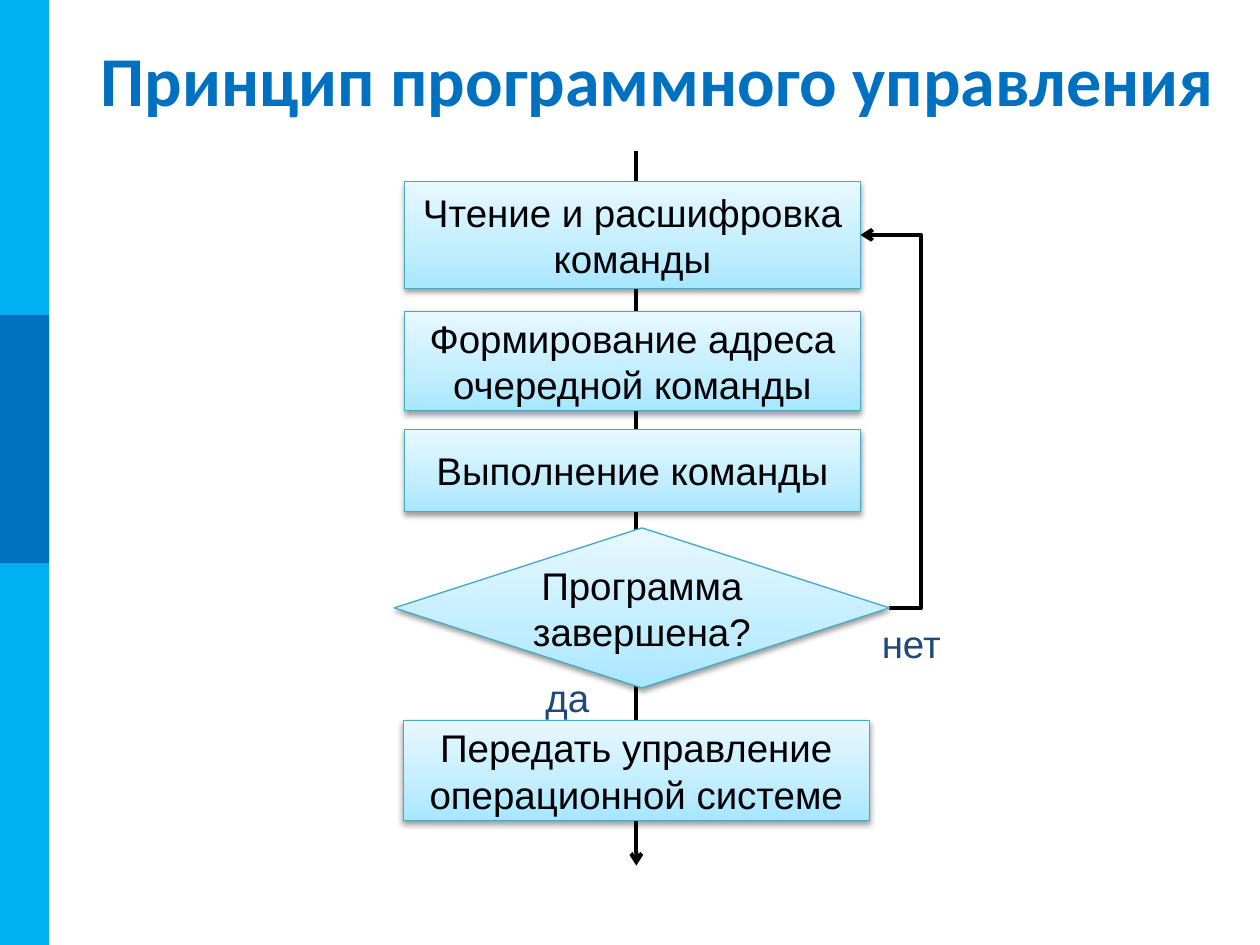
from lxml.etree import SubElement
from pptx import Presentation
from pptx.dml.color import RGBColor
from pptx.enum.shapes import MSO_CONNECTOR, MSO_SHAPE
from pptx.enum.text import MSO_ANCHOR, MSO_AUTO_SIZE, PP_ALIGN
from pptx.oxml import parse_xml
from pptx.oxml.ns import nsdecls, qn
from pptx.util import Pt

SCALE = 9144
SKY = RGBColor(0x00, 0xB0, 0xF0)
BLUE = RGBColor(0x00, 0x70, 0xC0)
NAVY = RGBColor(0x1F, 0x49, 0x7D)
TEAL = RGBColor(0x46, 0xAA, 0xC5)
BLACK = RGBColor(0x00, 0x00, 0x00)
STOPS = (
    (0, RGBColor(0xA7, 0xE6, 0xFF)),
    (35, RGBColor(0xC1, 0xED, 0xFF)),
    (100, RGBColor(0xE7, 0xF8, 0xFF)),
)
STEPS = (
    ("Чтение и расшифровка команды", 321, 144, 362, 85),
    ("Формирование адреса очередной команды", 321, 247, 362, 79),
    ("Выполнение команды", 321, 341, 362, 65),
    ("Передать управление операционной системе", 320, 572, 370, 79),
)


def px(*sizes):
    return [size * SCALE for size in sizes]


def set_font(para, name, size, color, bold=False):
    font = para.font
    font.name, font.size, font.bold = name, Pt(size), bold
    font.color.rgb = color


def add_bar(shapes, color, *area):
    bar = shapes.add_shape(MSO_SHAPE.RECTANGLE, *px(*area))
    bar.shadow.inherit = False
    bar.fill.solid()
    bar.fill.fore_color.rgb = color
    bar.line.fill.background()


def add_title(shapes, text, *area):
    frame = shapes.add_textbox(*px(*area)).text_frame
    frame.word_wrap = True
    frame.vertical_anchor = MSO_ANCHOR.MIDDLE
    frame.text = text
    set_font(frame.paragraphs[0], "Calibri", 40, BLUE, True)


def add_label(shapes, text, *area):
    frame = shapes.add_textbox(*px(*area)).text_frame
    frame.word_wrap = False
    frame.auto_size = MSO_AUTO_SIZE.SHAPE_TO_FIT_TEXT
    frame.text = text
    set_font(frame.paragraphs[0], "Arial", 22, NAVY)


def add_arrow(shapes, kind, *ends):
    arrow = shapes.add_connector(kind, *px(*ends))
    arrow.line.color.rgb = BLACK
    arrow.line.width = Pt(2.25)
    props = arrow.element.spPr
    SubElement(props.find(qn("a:ln")), qn("a:tailEnd"), type="arrow")
    SubElement(props, qn("a:effectLst"))
    return arrow


def bend(arrow, ratio):
    guides = arrow.element.spPr.find(qn("a:prstGeom")).find(qn("a:avLst"))
    SubElement(guides, qn("a:gd"), name="adj1", fmla=f"val {ratio}")


def add_step(shapes, kind, text, *area):
    step = shapes.add_shape(kind, *px(*area))
    step.line.color.rgb = TEAL
    step.line.width = Pt(0.75)
    step.shadow.inherit = False
    props = step.element.spPr
    stops = "".join(
        f'<a:gs pos="{place * 1000}"><a:srgbClr val="{color}"/></a:gs>'
        for place, color in STOPS
    )
    props.find(qn("a:ln")).addprevious(parse_xml(
        f'<a:gradFill {nsdecls("a")} rotWithShape="1"><a:gsLst>{stops}</a:gsLst>'
        '<a:lin ang="16200000" scaled="0"/></a:gradFill>'
    ))
    props.find(qn("a:effectLst")).append(parse_xml(
        f'<a:outerShdw {nsdecls("a")} blurRad="40000" dist="20000" dir="5400000" '
        'rotWithShape="0"><a:srgbClr val="000000"><a:alpha val="38000"/>'
        '</a:srgbClr></a:outerShdw>'
    ))
    frame = step.text_frame
    frame.word_wrap = True
    frame.vertical_anchor = MSO_ANCHOR.MIDDLE
    frame.text = text
    para = frame.paragraphs[0]
    para.alignment = PP_ALIGN.CENTER
    set_font(para, "Arial", 22, BLACK)
    return step


def main():
    deck = Presentation()
    deck.slide_width, deck.slide_height = px(1000, 750)
    shapes = deck.slides.add_slide(deck.slide_layouts[6]).shapes
    add_bar(shapes, SKY, 0, 0, 39, 750)
    add_bar(shapes, BLUE, 0, 250, 39, 197)
    add_arrow(shapes, MSO_CONNECTOR.STRAIGHT, 505, 120, 505, 687)
    loop = add_arrow(shapes, MSO_CONNECTOR.ELBOW, 706, 482, 683, 186)
    bend(loop, -108800)
    add_title(shapes, "Принцип программного управления", 70, 30, 930, 64)
    add_label(shapes, "да", 423, 530, 55, 47)
    add_label(shapes, "нет", 690, 487, 68, 47)
    steps = [add_step(shapes, MSO_SHAPE.FLOWCHART_PROCESS, *step) for step in STEPS]
    test = add_step(shapes, MSO_SHAPE.FLOWCHART_DECISION,
                    "Программа завершена?", 313, 419, 393, 127)
    loop.begin_connect(test, 3)
    loop.end_connect(steps[0], 3)
    deck.save("out.pptx")


if __name__ == "__main__":
    main()
